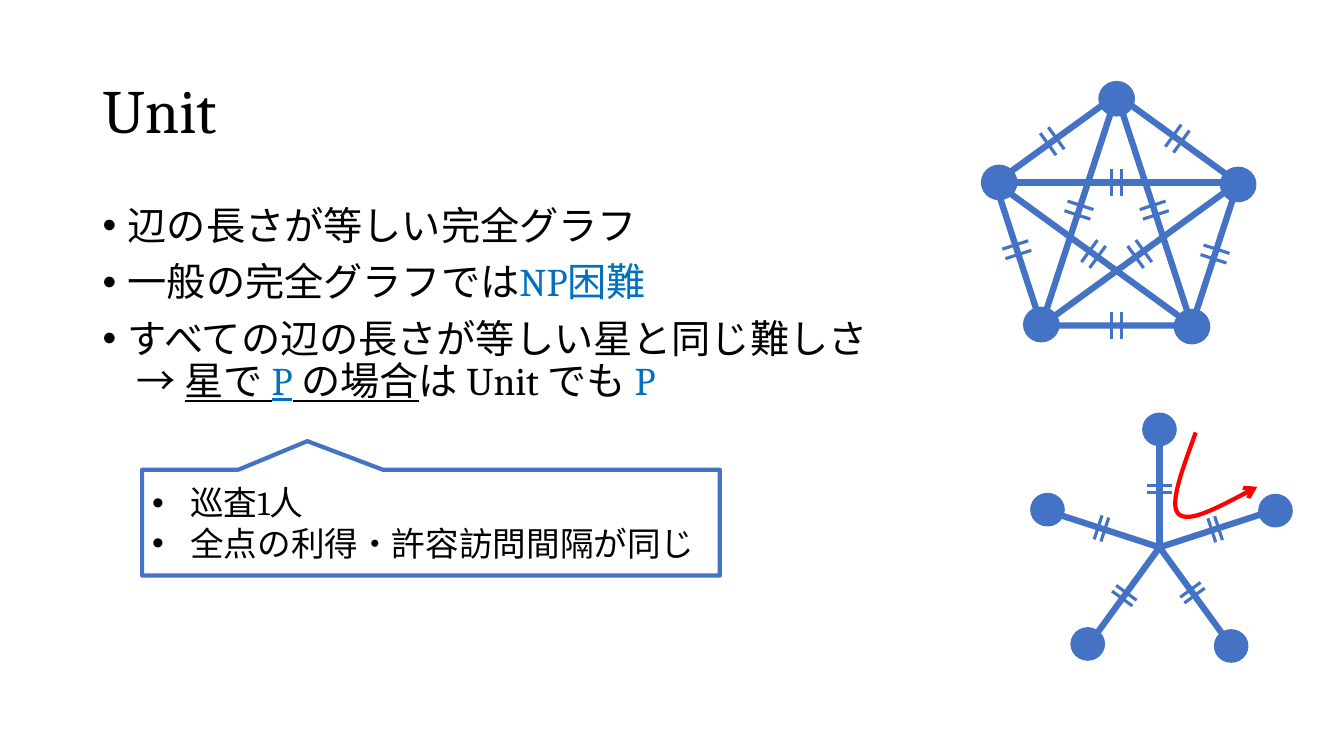
import math
from itertools import combinations

from lxml import etree
from pptx import Presentation
from pptx.dml.color import RGBColor
from pptx.enum.shapes import MSO_CONNECTOR, MSO_SHAPE
from pptx.enum.text import MSO_ANCHOR, PP_ALIGN
from pptx.oxml.ns import qn
from pptx.util import Inches, Pt

LINE = MSO_CONNECTOR.STRAIGHT
CALLOUT = MSO_SHAPE.RECTANGULAR_CALLOUT
PENTAGON = MSO_SHAPE.REGULAR_PENTAGON
OVAL = MSO_SHAPE.OVAL
MIDDLE, TOP, LEFT = MSO_ANCHOR.MIDDLE, MSO_ANCHOR.TOP, PP_ALIGN.LEFT

BLUE = RGBColor(0x44, 0x72, 0xC4)
ACCENT = RGBColor(0x00, 0x70, 0xC0)
BLACK = RGBColor(0, 0, 0)
RED = RGBColor(0xFF, 0, 0)
SERIF = "Cambria"
CJK = "Noto Sans CJK JP"


# Text helpers
def add_run(p, text, size, font=CJK, color=BLACK, underline=None):
    r = p.add_run()
    r.text = text
    r.font.size, r.font.name = Pt(size), font
    r.font.color.rgb = color
    r.font.underline = underline
    etree.SubElement(r.font._element, qn("a:ea"), typeface=font)


def add_bullet(p, indent):
    pPr = p._p.get_or_add_pPr()
    pPr.set("marL", str(Inches(indent)))
    pPr.set("indent", str(-Inches(indent)))
    etree.SubElement(pPr, qn("a:buFont"), typeface="Arial")
    etree.SubElement(pPr, qn("a:buChar"), char="•")


def fill_paragraphs(tf, paragraphs, size, indent=None, before=0, spacing=None):
    tf.word_wrap = True
    for i, lines in enumerate(paragraphs):
        p = tf.add_paragraph() if i else tf.paragraphs[0]
        if indent:
            add_bullet(p, indent)
        p.alignment = LEFT
        if spacing:
            p.line_spacing = spacing
        if i and before:
            p.space_before = Pt(before)
        for j, runs in enumerate(lines):
            if j:
                p.add_line_break()
            for run in runs:
                add_run(p, run[0], size, *run[1:])


def add_text(s, box, paragraphs, size, anchor=TOP, **style):
    tf = s.shapes.add_textbox(*map(Inches, box)).text_frame
    tf.vertical_anchor = anchor
    fill_paragraphs(tf, paragraphs, size, spacing=0.9, **style)


def add_callout(s, box, paragraphs):
    sp = s.shapes.add_shape(CALLOUT, *map(Inches, box))
    sp.shadow.inherit = False
    sp.adjustments[0], sp.adjustments[1] = -0.214, -0.77
    sp.fill.background()
    sp.line.color.rgb, sp.line.width = BLUE, Pt(3)
    sp.text_frame.vertical_anchor = MIDDLE
    fill_paragraphs(sp.text_frame, paragraphs, 24, indent=0.38)


# Graph helpers
def add_line(group, start, end, width):
    c = group.shapes.add_connector(LINE, *map(Inches, (*start, *end)))
    c.line.color.rgb, c.line.width = BLUE, Pt(width)
    etree.SubElement(c._element.spPr, qn("a:effectLst"))


def add_ticks(group, start, end, at, gap, length):
    """Two short strokes across an edge, centred at a fraction of it."""
    dx, dy = end[0] - start[0], end[1] - start[1]
    size = math.hypot(dx, dy)
    ux, uy = dx / size, dy / size
    for shift in (-gap / 2, gap / 2):
        x = start[0] + at * dx + shift * ux
        y = start[1] + at * dy + shift * uy
        hx, hy = -uy * length / 2, ux * length / 2
        add_line(group, (x - hx, y - hy), (x + hx, y + hy), 2.25)


def add_nodes(group, points, nudges, width, height):
    for (x, y), (dx, dy) in zip(points, nudges):
        sp = group.shapes.add_shape(OVAL, Inches(x + dx - width / 2), Inches(y + dy - height / 2),
                                    Inches(width), Inches(height))
        sp.shadow.inherit = False
        sp.fill.solid()
        sp.fill.fore_color.rgb = BLUE
        sp.line.color.rgb, sp.line.width = BLUE, Pt(1)


def add_complete_graph(s, box):
    left, top, width, height = box
    group = s.shapes.add_group_shape()
    sp = group.shapes.add_shape(PENTAGON, *map(Inches, box))
    sp.shadow.inherit = False
    sp.fill.background()
    sp.line.color.rgb, sp.line.width = BLUE, Pt(4.5)

    # Corners clockwise from the top, and the diagonals between them
    corners = [(left + fx * width, top + fy * height)
               for fx, fy in ((0.5, 0), (1, 0.38), (0.81, 1), (0.19, 1), (0, 0.38))]
    edges = list(combinations(range(5), 2))
    for a, b in edges:
        if b - a in (2, 3):
            add_line(group, corners[a], corners[b], 4.5)
    add_nodes(group, corners, ((0, 0.04), (0, 0.02), (0, 0.01), (0, -0.01), (0.04, 0)), 0.35, 0.34)
    tick_at = {(0, 4): 0.53, (3, 4): 0.53}
    for a, b in edges:
        add_ticks(group, corners[a], corners[b], tick_at.get((a, b), 0.5), 0.1, 0.27)


def add_star(s, hub, radius):
    group = s.shapes.add_group_shape()
    x, y = hub
    tips = [(x + radius * math.sin(math.radians(72 * i)), y - radius * math.cos(math.radians(72 * i)))
            for i in range(5)]
    for tip in tips:
        add_line(group, hub, tip, 4.5)
    add_nodes(group, tips, ((0, 0.04), (0, 0.01), (0, 0), (0, -0.02), (0.04, 0)), 0.33, 0.32)
    add_route(group, (x + 0.16, y - 1.14, 0.81, 0.83))
    for tip, at in zip(tips, (0.48, 0.48, 0.46, 0.49, 0.5)):
        add_ticks(group, hub, tip, at, 0.07, 0.25)


def add_route(group, box):
    """Curved arrow from the top tip to the right tip."""
    left, top, width, height = box
    builder = group.shapes.build_freeform(Inches(left), Inches(top))
    builder.add_line_segments([(Inches(left + width), Inches(top + height))], close=False)
    sp = builder.convert_to_shape()
    sp.shadow.inherit = False
    sp.fill.background()
    sp.line.color.rgb, sp.line.width = RED, Pt(3)
    etree.SubElement(sp.line._get_or_add_ln(), qn("a:tailEnd"), type="arrow")

    # Bézier segments, in inches from the corner of the box
    outline = next(sp._element.iter(qn("a:path")))
    for old in list(outline):
        outline.remove(old)
    for tag, points in (("a:moveTo", ((0.2, 0),)),
                        ("a:cubicBezTo", ((0.07, 0.36), (-0.07, 0.72), (0.03, 0.81))),
                        ("a:cubicBezTo", ((0.13, 0.9), (0.47, 0.72), (0.81, 0.54)))):
        segment = etree.SubElement(outline, qn(tag))
        for px, py in points:
            etree.SubElement(segment, qn("a:pt"), x=str(Inches(px)), y=str(Inches(py)))


def main():
    prs = Presentation()
    prs.slide_width, prs.slide_height = Inches(13.33), Inches(7.5)
    s = prs.slides.add_slide(prs.slide_layouts[6])

    # Title and bullets
    add_text(s, (0.92, 0.4, 11.5, 1.45), [[[("Unit", SERIF)]]], 44, MIDDLE)
    add_text(s, (0.92, 2, 11.5, 4.76), [
        [[("辺の長さが等しい完全グラフ",)]],
        [[("一般の完全グラフでは",), ("NP", SERIF, ACCENT), ("困難", CJK, ACCENT)]],
        [[("すべての辺の長さが等しい星と同じ難しさ",)],
         [(" → ",), ("星で ", CJK, BLACK, True), ("P", SERIF, ACCENT, True),
          (" の場合", CJK, BLACK, True), ("は ",), ("Unit ", SERIF), ("でも ",),
          ("P", SERIF, ACCENT)]],
    ], 28, indent=0.25, before=10)

    # Conditions
    add_callout(s, (1.41, 4.66, 5.73, 1.05), [
        [[("巡査",), ("1", SERIF), ("人",)]],
        [[("全点の利得・許容訪問間隔が同じ",)]],
    ])

    # Graphs
    add_complete_graph(s, (9.87, 0.94, 2.41, 2.29))
    add_star(s, (11.5, 5.43), 1.21)
    prs.save("out.pptx")


if __name__ == "__main__":
    main()
